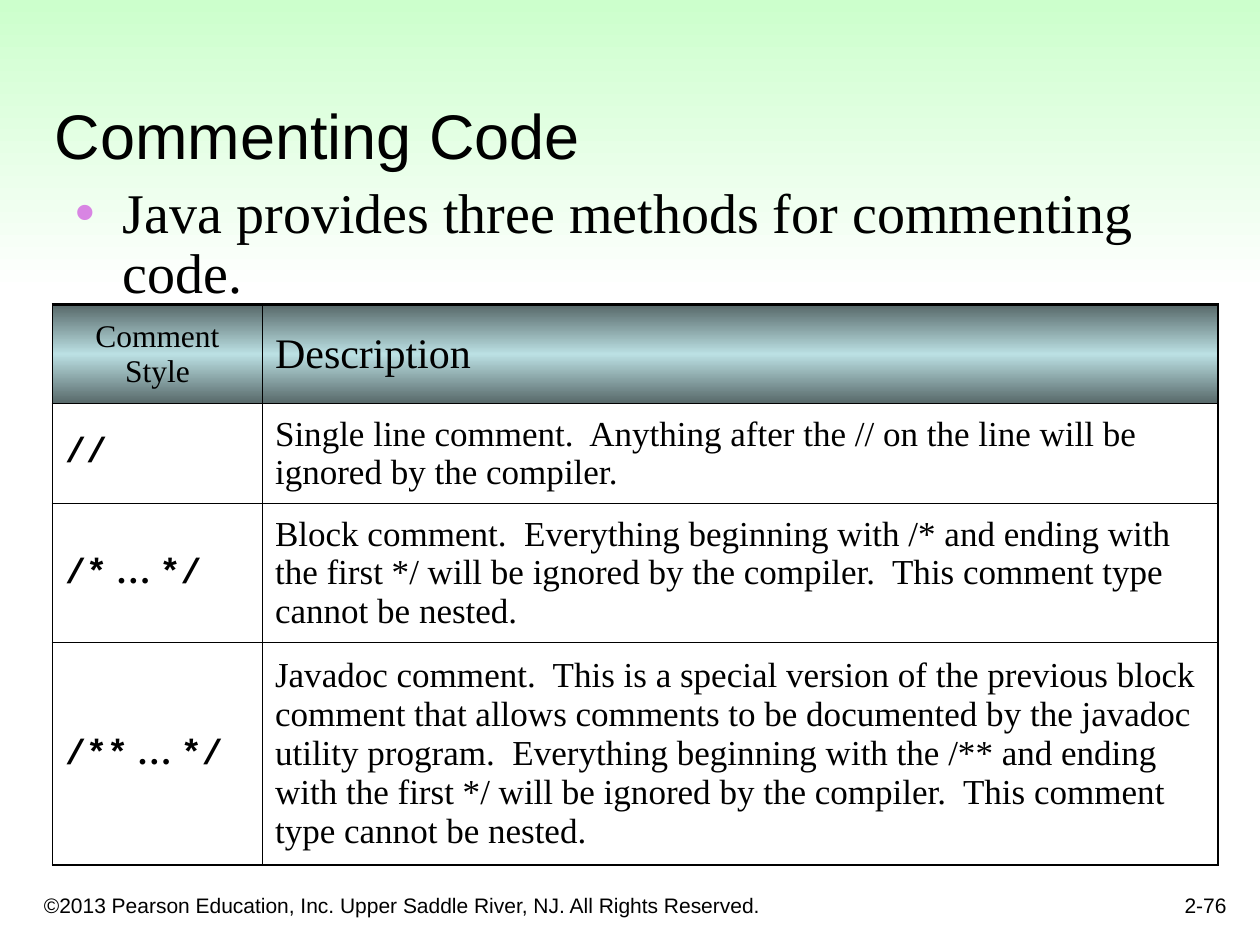
"""Build a slide that lists the three ways of commenting Java code."""

from dataclasses import dataclass

from lxml.etree import SubElement
from pptx import Presentation
from pptx.dml.color import RGBColor
from pptx.enum.shapes import MSO_SHAPE
from pptx.enum.text import MSO_ANCHOR, MSO_AUTO_SIZE, PP_ALIGN
from pptx.oxml.ns import qn
from pptx.util import Inches, Pt

BLACK = RGBColor(0x00, 0x00, 0x00)
WHITE = RGBColor(0xFF, 0xFF, 0xFF)
MINT = RGBColor(0xCC, 0xFF, 0xCC)
SLATE = RGBColor(0x57, 0x68, 0x69)
ICE = RGBColor(0xBB, 0xE0, 0xE3)
ORCHID = RGBColor(0xD8, 0x85, 0xE3)

SANS = "Arial"
SERIF = "Times New Roman"
MONO = "Courier New"

GRID = Inches(1) // 12
PAGE_COLUMNS, PAGE_ROWS = 120, 90
THIN, MEDIUM, THICK = 0.45, 1.08, 1.47


@dataclass(frozen=True)
class Area:
    """A rectangle counted in grid columns and rows."""

    column: float
    row: float
    columns: float
    rows: float

    def lengths(self) -> tuple[int, ...]:
        """Return left, top, width and height."""
        return tuple(round(value * GRID) for value in (self.column, self.row, self.columns, self.rows))


@dataclass(frozen=True)
class Span:
    """A piece of text in one font."""

    text: str
    font: str = SERIF
    size: float = 20
    bold: bool = False


@dataclass(frozen=True)
class TableRow:
    """A table row with its height in grid rows."""

    height: float
    style: tuple[Span, ...]
    description: Span


@dataclass(frozen=True)
class Footer:
    """A line of text at the foot of the page."""

    area: Area
    text: str
    alignment: PP_ALIGN


BAND = Area(0, 0, PAGE_COLUMNS, 28)
TITLE = Area(4, 4, 113, 13)
BODY = Area(6, 17, 103, 13)
BODY_INDENT = round(4.5 * GRID)
TABLE = Area(5, 29, 111, 53.5)
TABLE_COLUMNS = (20, 91)

TABLE_ROWS = (
    TableRow(9.45, (Span("Comment\vStyle", size=18),), Span("Description", size=24)),
    TableRow(
        9.5,
        (Span("//", MONO, bold=True),),
        Span("Single line comment.  Anything after the // on the line will be ignored by the compiler."),
    ),
    TableRow(
        13.25,
        (Span("/*", MONO, bold=True), Span(" … ", bold=True), Span("*/", MONO, bold=True)),
        Span(
            "Block comment.  Everything beginning with /* and ending with the first */ "
            "will be ignored by the compiler.  This comment type cannot be nested."
        ),
    ),
    TableRow(
        21.2,
        (Span("/**", MONO, bold=True), Span(" … ", bold=True), Span("*/", MONO, bold=True)),
        Span(
            "Javadoc comment.  This is a special version of the previous block comment that "
            "allows comments to be documented by the javadoc utility program.  Everything "
            "beginning with the /** and ending with the first */ will be ignored by the "
            "compiler.  This comment type cannot be nested."
        ),
    ),
)

FOOTERS = (
    Footer(
        Area(3, 83, 73, 5),
        "©2013 Pearson Education, Inc. Upper Saddle River, NJ. All Rights Reserved.",
        PP_ALIGN.LEFT,
    ),
    Footer(Area(93, 82, 25, 6), "2-76", PP_ALIGN.RIGHT),
)


def place(shape, area: Area) -> None:
    """Move a shape onto its grid area."""
    shape.left, shape.top, shape.width, shape.height = area.lengths()


def write(paragraph, spans: tuple[Span, ...]) -> None:
    """Fill a paragraph with formatted spans."""
    paragraph.text = spans[0].text
    for span in spans[1:]:
        paragraph.add_run().text = span.text
    styles = spans if len(spans) > 1 else spans * len(paragraph.runs)
    for run, span in zip(paragraph.runs, styles):
        run.font.name = span.font
        run.font.size = Pt(span.size)
        run.font.bold = span.bold
        run.font.color.rgb = BLACK


def shade(fill, properties, colors: tuple[RGBColor, ...]) -> None:
    """Apply a top-to-bottom gradient with evenly spaced colours."""
    fill.gradient()
    fill.gradient_angle = 270
    stops = properties.find(qn("a:gradFill")).find(qn("a:gsLst"))
    for stop in list(stops):
        stops.remove(stop)
    for index, color in enumerate(colors):
        position = 100000 * index // (len(colors) - 1)
        stop = SubElement(stops, qn("a:gs"), pos=str(position))
        SubElement(stop, qn("a:srgbClr"), val=str(color))


def border(cell, widths: dict[str, float]) -> None:
    """Draw the four sides of a cell in black."""
    properties = cell._tc.get_or_add_tcPr()
    for side, width in widths.items():
        line = SubElement(properties, qn(f"a:ln{side}"), w=str(Pt(width)))
        fill = SubElement(line, qn("a:solidFill"))
        SubElement(fill, qn("a:srgbClr"), val=str(BLACK))


def add_band(page) -> None:
    """Draw the fading band at the top of the page."""
    band = page.shapes.add_shape(MSO_SHAPE.RECTANGLE, *BAND.lengths())
    band.shadow.inherit = False
    band.line.fill.background()
    shade(band.fill, band._element.spPr, (MINT, WHITE))
    page.shapes._spTree.insert(2, band._element)


def add_heading(page) -> None:
    """Fill the title and body placeholders."""
    title, body = page.shapes.title, page.placeholders[1]
    place(title, TITLE)
    title.text_frame.auto_size = MSO_AUTO_SIZE.NONE
    title.text_frame.vertical_anchor = MSO_ANCHOR.BOTTOM
    write(title.text_frame.paragraphs[0], (Span("Commenting Code", SANS, 36),))
    title.text_frame.paragraphs[0].alignment = PP_ALIGN.LEFT

    place(body, BODY)
    body.text_frame.auto_size = MSO_AUTO_SIZE.NONE
    body.text_frame.margin_right = 0
    paragraph = body.text_frame.paragraphs[0]
    write(paragraph, (Span("Java provides three methods for commenting code.", size=32),))
    properties = paragraph._p.get_or_add_pPr()
    properties.set("marL", str(BODY_INDENT))
    properties.set("indent", str(-BODY_INDENT))
    SubElement(SubElement(properties, qn("a:buClr")), qn("a:srgbClr"), val=str(ORCHID))
    SubElement(properties, qn("a:buChar"), char="•")
    paragraph.line_spacing = 0.9
    paragraph.space_before = Pt(0)


def add_comment_table(page) -> None:
    """Draw the table of comment styles."""
    frame = page.shapes.add_table(len(TABLE_ROWS), len(TABLE_COLUMNS), *TABLE.lengths())
    table = frame.table
    table.first_row = table.horz_banding = False
    for column, width in zip(table.columns, TABLE_COLUMNS):
        column.width = width * GRID
    last = len(TABLE_ROWS) - 1
    for row, entry in enumerate(TABLE_ROWS):
        table.rows[row].height = round(entry.height * GRID)
        for column, spans in enumerate((entry.style, (entry.description,))):
            cell = table.cell(row, column)
            cell.vertical_anchor = MSO_ANCHOR.MIDDLE
            write(cell.text_frame.paragraphs[0], spans)
            border(cell, {
                "L": THIN if column else MEDIUM,
                "R": MEDIUM if column else THIN,
                "T": THIN if row else THICK,
                "B": MEDIUM if row == last else THIN,
            })
            if row:
                cell.fill.background()
            else:
                shade(cell.fill, cell._tc.tcPr, (SLATE, ICE, SLATE))
    table.cell(0, 0).text_frame.paragraphs[0].alignment = PP_ALIGN.CENTER


def add_footer(page, footer: Footer) -> None:
    """Write one footer line."""
    frame = page.shapes.add_textbox(*footer.area.lengths()).text_frame
    frame.word_wrap = True
    frame.vertical_anchor = MSO_ANCHOR.BOTTOM
    write(frame.paragraphs[0], (Span(footer.text, SANS, 12),))
    frame.paragraphs[0].alignment = footer.alignment


def main() -> None:
    """Build and save the deck."""
    deck = Presentation()
    deck.slide_width, deck.slide_height = PAGE_COLUMNS * GRID, PAGE_ROWS * GRID
    page = deck.slides.add_slide(deck.slide_layouts[1])
    add_band(page)
    add_heading(page)
    add_comment_table(page)
    for footer in FOOTERS:
        add_footer(page, footer)
    deck.save("out.pptx")


if __name__ == "__main__":
    main()
